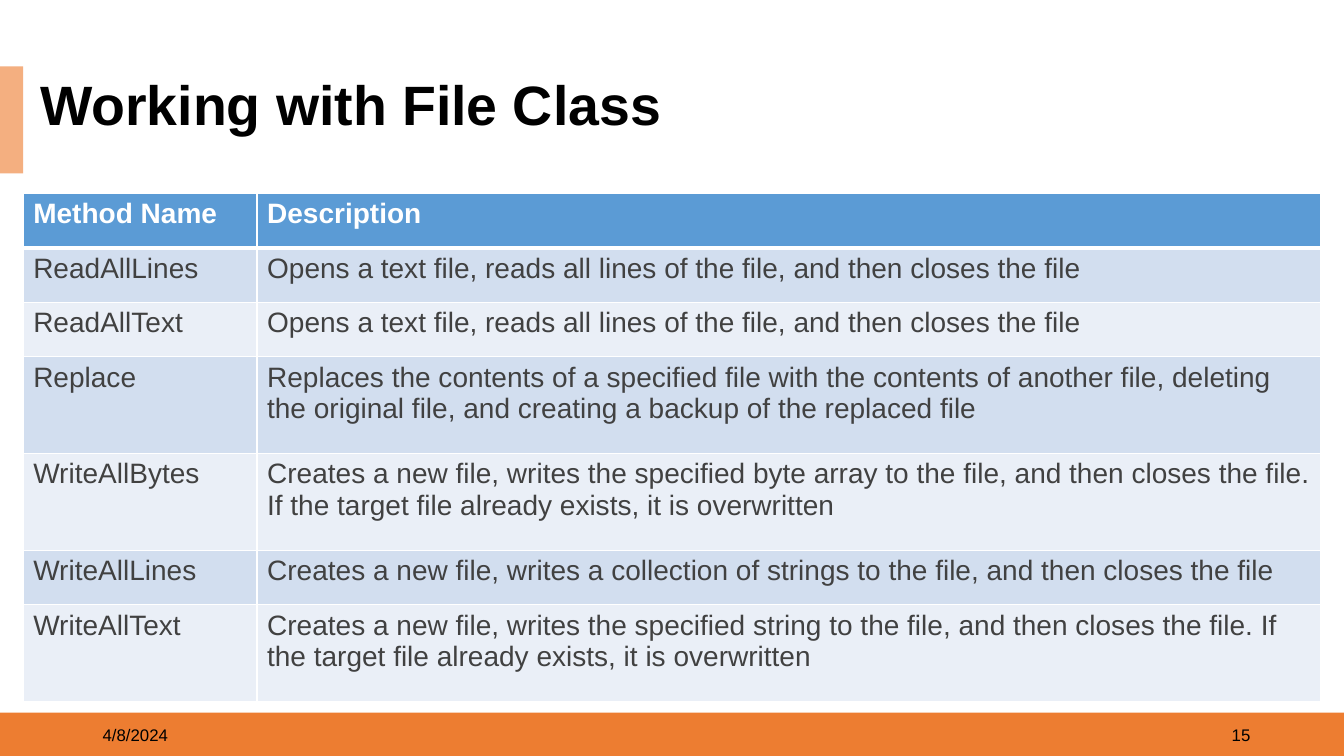
from lxml import etree
from pptx import Presentation
from pptx import util as u
from pptx.dml.color import RGBColor
from pptx.enum import shapes, text
from pptx.oxml.ns import qn

WIDTH, HEIGHT = 13.33, 7.5
FONT = "Arial"
BLACK, WHITE, GREY = "000000", "FFFFFF", "414141"
HEADER_FILL, BAND_FILLS = "5B9BD5", ("D2DEEF", "EAEFF7")

# left, top, width, height, fill
BARS = [
    (0, 7.07, WIDTH, 0.43, "ED7D31"),
    (0, 0.66, 0.23, 1.06, "F4AF80"),
]

LEFT, RIGHT = text.PP_ALIGN.LEFT, text.PP_ALIGN.RIGHT
# wording, left, top, width, height, size, bold, alignment
LABELS = [
    ("4/8/2024", 0.92, 7.09, 3, 0.4, 12, False, LEFT),
    ("15", 9.5, 7.09, 3, 0.4, 12, False, RIGHT),
    ("Working with File Class", 0.3, 0.75, 9.72, 0.63, 39.6, True, LEFT),
]

METHODS = [
    ("Method Name", "Description"),
    ("ReadAllLines", "Opens a text file, reads all lines of the file, and then closes the file"),
    ("ReadAllText", "Opens a text file, reads all lines of the file, and then closes the file"),
    ("Replace", "Replaces the contents of a specified file with the contents of another file, "
                "deleting the original file, and creating a backup of the replaced file"),
    ("WriteAllBytes", "Creates a new file, writes the specified byte array to the file, and then "
                      "closes the file. If the target file already exists, it is overwritten"),
    ("WriteAllLines", "Creates a new file, writes a collection of strings to the file, "
                      "and then closes the file"),
    ("WriteAllText", "Creates a new file, writes the specified string to the file, and then "
                     "closes the file. If the target file already exists, it is overwritten"),
]
TABLE_LEFT, TABLE_TOP = 0.23, 1.92
COLUMNS = (2.32, 10.55)
ONE_LINE, TWO_LINES = 0.54, 0.96
LINE_LIMIT = 90  # characters that fit on one line of the description


def color(value):
    return RGBColor.from_string(value)


def inches(*lengths):
    return [u.Inches(length) for length in lengths]


def write(frame, wording, size, ink, bold=False, align=LEFT):
    para = frame.paragraphs[0]
    para.alignment = align
    span = para.add_run()
    span.text = wording
    span.font.name = FONT
    span.font.size = u.Pt(size)
    span.font.bold = bold
    span.font.color.rgb = color(ink)
    return para


def add_bar(page, left, top, width, height, fill):
    bar = page.shapes.add_shape(shapes.MSO_SHAPE.RECTANGLE, *inches(left, top, width, height))
    bar.shadow.inherit = False
    bar.fill.solid()
    bar.fill.fore_color.rgb = color(fill)
    bar.line.fill.background()


def add_label(page, wording, left, top, width, height, size, bold, align):
    box = page.shapes.add_textbox(*inches(left, top, width, height))
    box.text_frame.word_wrap = True
    box.text_frame.vertical_anchor = text.MSO_ANCHOR.MIDDLE
    para = write(box.text_frame, wording, size, BLACK, bold, align)
    if bold:
        para.line_spacing = 0.9


def set_borders(cell, bottom):
    """Draw white cell edges, one point wide except for the bottom one."""
    props = cell._tc.get_or_add_tcPr()
    for place, (edge, width) in enumerate((("lnL", 1), ("lnR", 1), ("lnT", 1), ("lnB", bottom))):
        line = etree.Element(qn("a:" + edge), w=str(u.Pt(width)))
        fill = etree.SubElement(line, qn("a:solidFill"))
        etree.SubElement(fill, qn("a:srgbClr"), val=WHITE)
        props.insert(place, line)


def add_methods(page):
    heights = [TWO_LINES if len(about) > LINE_LIMIT else ONE_LINE for _, about in METHODS]
    frame = page.shapes.add_table(len(METHODS), len(COLUMNS), *inches(
        TABLE_LEFT, TABLE_TOP, sum(COLUMNS), sum(heights)))
    table = frame.table
    for column, width in zip(table.columns, COLUMNS):
        column.width = u.Inches(width)
    for index, (height, method) in enumerate(zip(heights, METHODS)):
        table.rows[index].height = u.Inches(height)
        header = index == 0
        for cell, wording in zip(table.rows[index].cells, method):
            cell.fill.solid()
            cell.fill.fore_color.rgb = color(HEADER_FILL if header else BAND_FILLS[(index - 1) % 2])
            # The edge under the header is shared with the first method row.
            set_borders(cell, 3 if header else 1)
            write(cell.text_frame, wording, 20, WHITE if header else GREY, header)


def main():
    deck = Presentation()
    deck.slide_width, deck.slide_height = inches(WIDTH, HEIGHT)
    page = deck.slides.add_slide(deck.slide_layouts[6])
    for bar in BARS:
        add_bar(page, *bar)
    for label in LABELS:
        add_label(page, *label)
    add_methods(page)
    deck.save("out.pptx")


if __name__ == "__main__":
    main()
